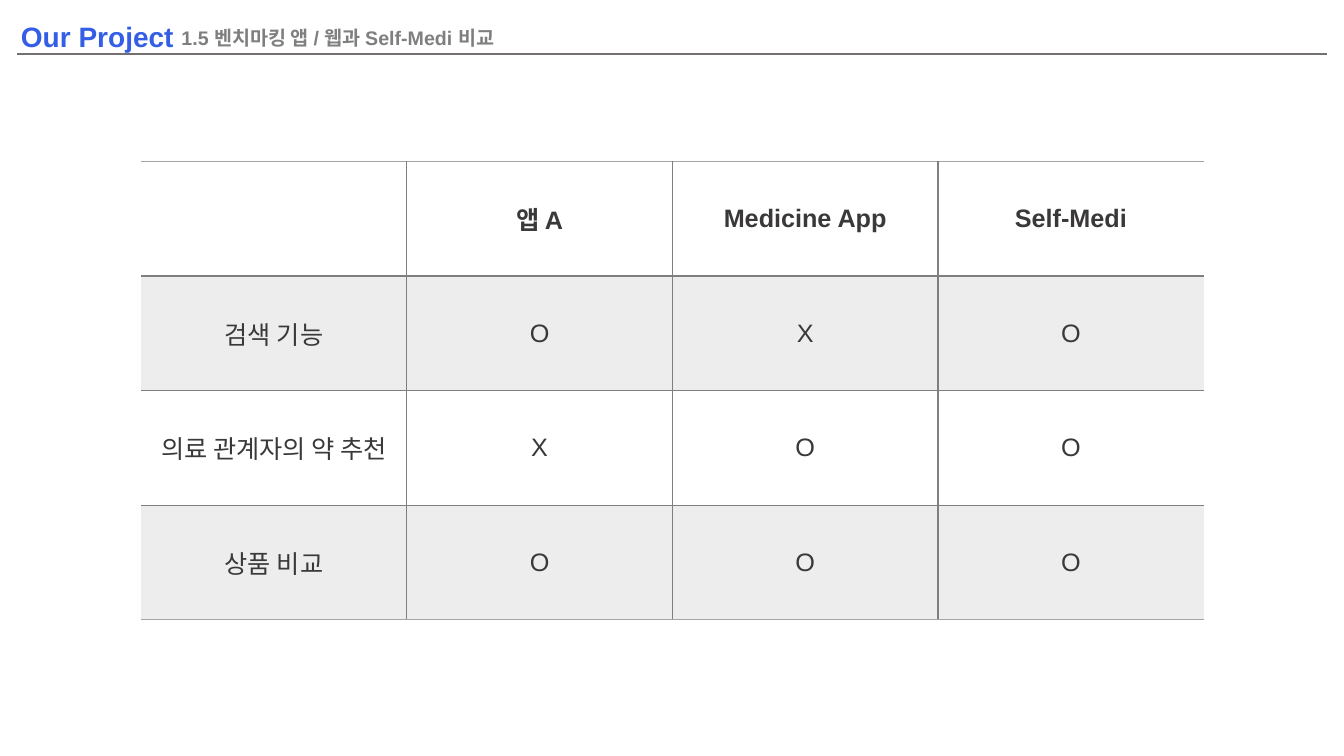
"""Build the slide comparing benchmarked apps with Self-Medi."""
from lxml.etree import SubElement
from pptx import Presentation
from pptx.dml.color import RGBColor
from pptx.enum.shapes import MSO_CONNECTOR
from pptx.enum.text import MSO_ANCHOR, MSO_AUTO_SIZE, PP_ALIGN
from pptx.oxml.ns import qn
from pptx.util import Inches, Pt

BLUE = RGBColor(0x34, 0x5E, 0xE6)
RULE_GREY = RGBColor(0x75, 0x70, 0x70)
GREY = RGBColor(0x7F, 0x7F, 0x7F)
EDGE_GREY = RGBColor(0xA5, 0xA5, 0xA5)
BAND_GREY = RGBColor(0xED, 0xED, 0xED)
DARK = RGBColor(0x3A, 0x38, 0x38)
NO_GRID_STYLE = "{2D5ABB26-0587-4C30-8999-92F81FD0307C}"

FEATURES = [
    ["", "앱 A", "Medicine App", "Self-Medi"],
    ["검색 기능", "O", "X", "O"],
    ["의료 관계자의 약 추천", "X", "O", "O"],
    ["상품 비교", "O", "O", "O"],
]
ROW_LINES = [EDGE_GREY, GREY, GREY, None, EDGE_GREY]
COLUMN_LINES = [None, GREY, GREY, None, None]


def style_text(paragraph, size, color, bold, align=PP_ALIGN.LEFT):
    paragraph.alignment = align
    font = paragraph.font
    font.name, font.size, font.bold = "Arial", Pt(size), bold
    font.color.rgb = color


def add_border(cell, side, color):
    if color is None:
        return
    line = SubElement(cell._tc.get_or_add_tcPr(), qn(f"a:ln{side}"), w=str(Pt(1)))
    fill = SubElement(line, qn("a:solidFill"))
    SubElement(fill, qn("a:srgbClr"), val=str(color))


prs = Presentation()
prs.slide_width, prs.slide_height = Inches(13.33), Inches(7.5)
slide = prs.slides.add_slide(prs.slide_layouts[5])

header_rule = slide.shapes.add_connector(
    MSO_CONNECTOR.STRAIGHT, Inches(0.17), Inches(0.54), Inches(13.16), Inches(0.54))
header_rule.line.color.rgb = RULE_GREY
header_rule.line.width = Pt(1.5)
SubElement(header_rule._element.spPr, qn("a:effectLst"))

project = slide.shapes.add_textbox(Inches(0.11), Inches(0.14), Inches(5.34), Inches(0.44))
project.text_frame.word_wrap = True
project.text_frame.text = "Our Project"
style_text(project.text_frame.paragraphs[0], 20, BLUE, True)

heading = slide.shapes.title
heading.left, heading.top = Inches(1.7), Inches(0.2)
heading.width, heading.height = Inches(3.62), Inches(0.34)
heading.text_frame.text = "1.5 벤치마킹 앱 / 웹과 Self-Medi 비교"
heading.text_frame.auto_size = MSO_AUTO_SIZE.NONE
heading.text_frame.vertical_anchor = MSO_ANCHOR.BOTTOM
style_text(heading.text_frame.paragraphs[0], 14, GREY, True)

comparison = slide.shapes.add_table(
    4, 4, Inches(1.4), Inches(1.6), Inches(10.54), Inches(4.55)).table
comparison._tbl.tblPr.find(qn("a:tableStyleId")).text = NO_GRID_STYLE

for row, labels in enumerate(FEATURES):
    for column, label in enumerate(labels):
        cell = comparison.cell(row, column)
        cell.text = label
        cell.vertical_anchor = MSO_ANCHOR.MIDDLE
        cell.margin_left = cell.margin_right = Inches(0.09)
        cell.margin_top = cell.margin_bottom = Inches(0.04)
        style_text(cell.text_frame.paragraphs[0], 18, DARK, row == 0, PP_ALIGN.CENTER)
        add_border(cell, "L", COLUMN_LINES[column])
        add_border(cell, "R", COLUMN_LINES[column + 1])
        add_border(cell, "T", ROW_LINES[row])
        add_border(cell, "B", ROW_LINES[row + 1])
        if row % 2:
            cell.fill.solid()
            cell.fill.fore_color.rgb = BAND_GREY
        else:
            cell.fill.background()

prs.save("out.pptx")
